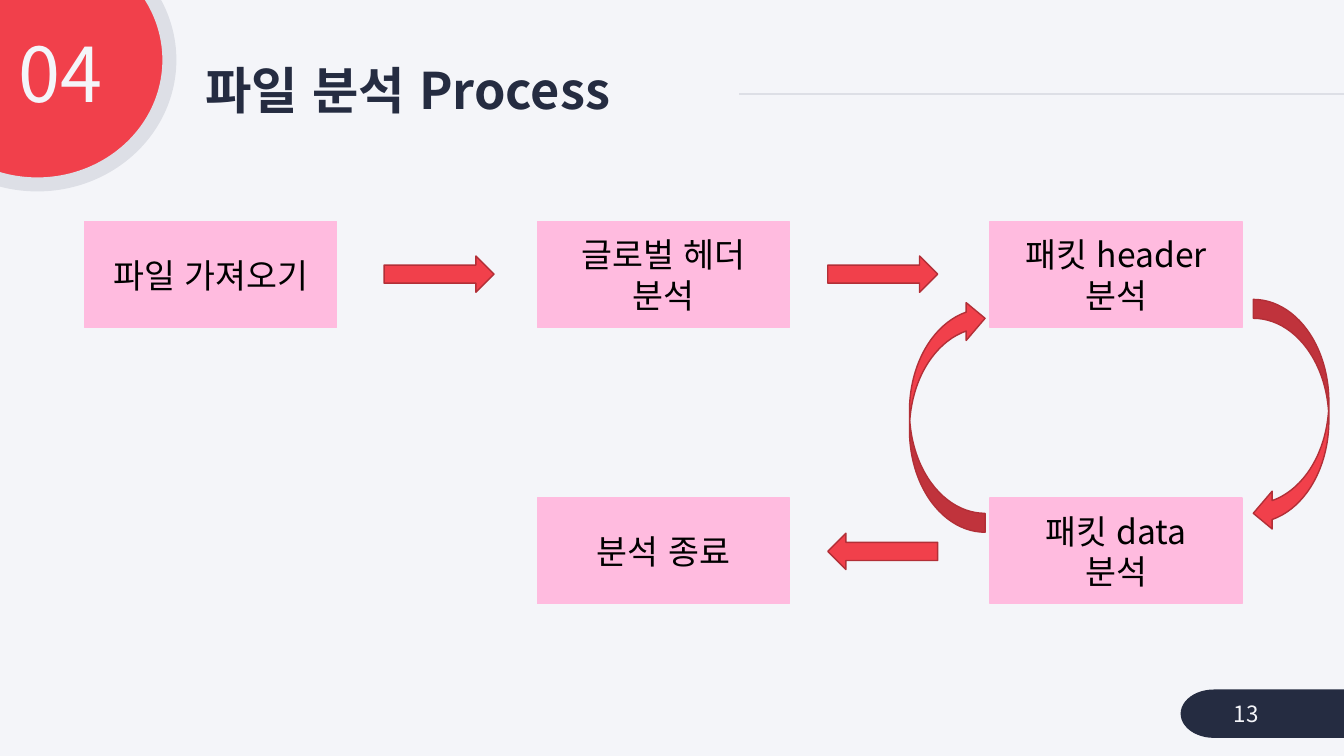
from pptx import Presentation
from pptx.dml.color import RGBColor
from pptx.enum.lang import MSO_LANGUAGE_ID as Lang
from pptx.enum.shapes import MSO_CONNECTOR as Conn, MSO_SHAPE as Shape
from pptx.enum.text import MSO_ANCHOR as Anchor, PP_ALIGN as Align
from pptx.oxml.ns import qn
from pptx.util import Inches, Pt
from lxml.etree import SubElement

COLORS = {
    "back": "F4F5F9", "red": "F1404B", "edge": "B22F37", "gray": "DDDFE6",
    "navy": "252C41", "pink": "FFBBDF", "black": "000000",
}
FONT = "Noto Sans CJK KR"


class Deck:
    """Holds the colours, the font and the current slide."""

    def __init__(self):
        self.prs = Presentation()
        self.prs.slide_width, self.prs.slide_height = Inches(13.33), Inches(7.5)
        self.slide = self.prs.slides.add_slide(self.prs.slide_layouts[6])
        self.fill(self.slide.background.fill, "back")

    def fill(self, fill, color):
        fill.solid()
        fill.fore_color.rgb = RGBColor.from_string(COLORS[color])

    def line(self, x1, y1, x2, y2, color, width):
        line = self.slide.shapes.add_connector(
            Conn.STRAIGHT, *map(Inches, (x1, y1, x2, y2)))
        self.fill(line.line.fill, color)
        line.line.width = Pt(width)
        SubElement(line._element.spPr, qn("a:effectLst"))

    def shape(self, kind, box, color, edge=None, width=1, turn=0):
        shape = self.slide.shapes.add_shape(kind, *map(Inches, box))
        shape.shadow.inherit = False
        shape.rotation = turn
        self.fill(shape.fill, color)
        if edge:
            self.fill(shape.line.fill, edge)
            shape.line.width = Pt(width)
        else:
            shape.line.fill.background()
        return shape

    def label(self, shape, lines, size, color, align=Align.LEFT,
              anchor=Anchor.MIDDLE, bold=False, space=1.0):
        """Fill a shape with one paragraph per line."""
        frame = shape.text_frame
        frame.word_wrap = True
        frame.vertical_anchor = anchor
        for i, line in enumerate(lines):
            para = frame.add_paragraph() if i else frame.paragraphs[0]
            para.alignment = align
            para.line_spacing = space
            run = para.add_run()
            run.text = line
            font = run.font
            font.size, font.bold, font.name = Pt(size), bold, FONT
            font.language_id = Lang.KOREAN
            self.fill(font.fill, color)
            SubElement(run._r.get_or_add_rPr(), qn("a:ea"), typeface=FONT)

    def text(self, box, line, size, color, **style):
        area = self.slide.shapes.add_textbox(*map(Inches, box))
        self.label(area, [line], size, color, **style)

    def step(self, x, y, lines):
        shape = self.shape(Shape.RECTANGLE, (x, y, 2.5, 1.05), "pink", "pink")
        self.label(shape, lines, 24, "black", align=Align.CENTER)

    def arrow(self, kind, box, turn=0):
        self.shape(kind, box, "red", "edge", turn=turn)


def main():
    deck = Deck()

    deck.line(7.33, 0.93, 13.33, 0.93, "gray", 1.5)
    deck.shape(Shape.OVAL, (-0.94, -0.64, 2.62, 2.47), "red", "gray", 10)
    deck.shape(Shape.FLOWCHART_TERMINATOR, (11.71, 6.84, 2.05, 0.48), "navy")
    deck.text((1.94, 0.59, 5.39, 0.67), "파일 분석 Process", 36, "navy",
              bold=True, space=0.9)
    deck.text((-0.11, 0.32, 1.22, 0.92), "04", 54, "back",
              align=Align.RIGHT, anchor=Anchor.TOP, space=0.9)
    deck.text((12.14, 6.88, 1.09, 0.4), "13", 16, "back")

    cols = [0.84 + 4.49 * i for i in range(3)]
    top, low = 2.2, 4.94
    steps = [
        (0, top, ["파일 가져오기"]),
        (1, top, ["글로벌 헤더 분석"]),
        (1, low, ["분석 종료"]),
        (2, top, ["패킷 header", "분석"]),
        (2, low, ["패킷 data", "분석"]),
    ]
    for col, y, lines in steps:
        deck.step(cols[col], y, lines)

    for x, y, turn in [(3.81, 2.54, 0), (8.21, 2.54, 0), (8.21, 5.29, 180)]:
        deck.arrow(Shape.RIGHT_ARROW, (x, y, 1.09, 0.36), turn)
    for x, turn in [(12.43, 0), (9.02, 180)]:
        deck.arrow(Shape.CURVED_LEFT_ARROW, (x, 2.97, 0.75, 2.31), turn)

    deck.prs.save("out.pptx")


if __name__ == "__main__":
    main()
